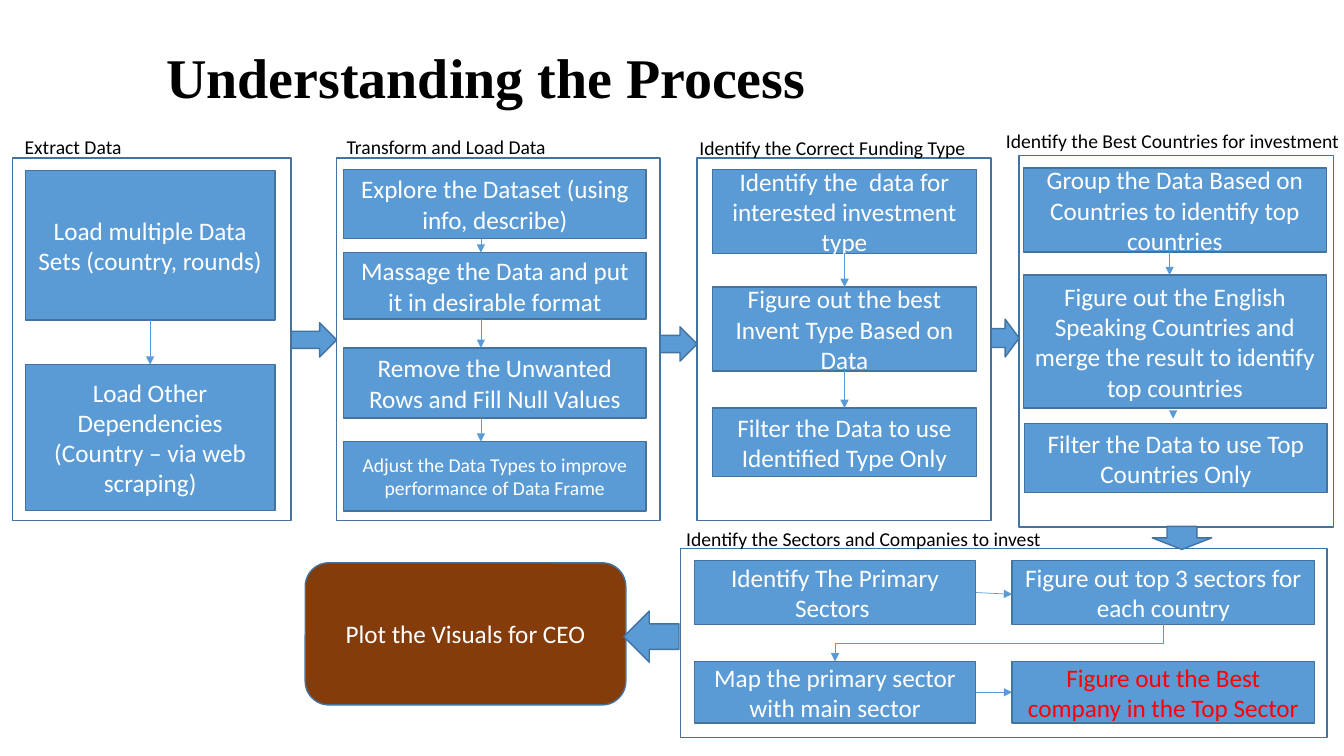
from dataclasses import dataclass
from itertools import pairwise

from lxml.etree import SubElement
from pptx import Presentation
from pptx.dml.color import RGBColor as RGB
from pptx.enum.shapes import MSO_CONNECTOR as CONN, MSO_SHAPE as SHAPE
from pptx.enum.text import MSO_ANCHOR as ANCHOR, MSO_AUTO_SIZE as AUTO, PP_ALIGN as ALIGN
from pptx.oxml.ns import qn
from pptx.util import Pt

TOP, LEFT, BOTTOM, RIGHT = range(4)


@dataclass(frozen=True)
class Theme:
    blue: str = "5B9BD5"
    edge: str = "43739E"
    brown: str = "843C0B"
    white: str = "FFFFFF"
    black: str = "000000"
    red: str = "FF0000"
    title_font: str = "Times New Roman"
    font: str = "Calibri"
    title: float = 40
    title_indent: float = 54
    body: float = 18
    small: float = 14


class ProcessSlide:
    def __init__(self, prs, theme):
        self.t = theme
        self.s = prs.slides.add_slide(prs.slide_layouts[5])

    def style(self, r, size, color, font=None, bold=False):
        r.font.name = font or self.t.font
        r.font.size = Pt(size)
        r.font.bold = bold
        r.font.color.rgb = RGB.from_string(color)

    def title(self, text, x, y, w, h):
        sp = self.s.shapes.title
        sp.left, sp.top, sp.width, sp.height = map(Pt, (x, y, w, h))
        tf = sp.text_frame
        tf.text = " "
        tf.vertical_anchor = ANCHOR.MIDDLE
        p = tf.paragraphs[0]
        p.alignment, p.line_spacing = ALIGN.LEFT, 0.9
        p.add_run().text = text
        for r, size in zip(p.runs, (self.t.title_indent, self.t.title)):
            self.style(r, size, self.t.black, self.t.title_font, True)

    def shape(self, kind, x, y, w, h, fill=None):
        sp = self.s.shapes.add_shape(kind, *map(Pt, (x, y, w, h)))
        sp.shadow.inherit = False
        if fill:
            sp.fill.solid()
            sp.fill.fore_color.rgb = RGB.from_string(fill)
        else:
            sp.fill.background()
        sp.line.color.rgb = RGB.from_string(self.t.edge)
        sp.line.width = Pt(1)
        return sp

    def box(self, text, x, y, w, h, size=None, color=None, fill=None, kind=SHAPE.RECTANGLE):
        sp = self.shape(kind, x, y, w, h, fill or self.t.blue)
        tf = sp.text_frame
        tf.text = text
        tf.word_wrap = True
        tf.vertical_anchor = ANCHOR.MIDDLE
        p = tf.paragraphs[0]
        p.alignment = ALIGN.CENTER
        self.style(p.runs[0], size or self.t.body, color or self.t.white)
        return sp

    def frame(self, x, y, w, h):
        return self.shape(SHAPE.RECTANGLE, x, y, w, h)

    def block_arrow(self, kind, x, y, w, h, rotation=0):
        self.shape(kind, x, y, w, h, self.t.blue).rotation = rotation

    def label(self, text, x, y, w, h=24.5):
        tf = self.s.shapes.add_textbox(*map(Pt, (x, y, w, h))).text_frame
        tf.text = text
        tf.word_wrap = False
        tf.auto_size = AUTO.SHAPE_TO_FIT_TEXT
        self.style(tf.paragraphs[0].runs[0], self.t.small, self.t.black)

    def arrow(self, x1=0, y1=0, x2=0, y2=0, begin=None, end=None, kind=CONN.STRAIGHT):
        """Arrow between points; begin and end are optional (shape, side) joins."""
        c = self.s.shapes.add_connector(kind, *map(Pt, (x1, y1, x2, y2)))
        if begin:
            c.begin_connect(*begin)
        if end:
            c.end_connect(*end)
        c.line.color.rgb = RGB.from_string(self.t.blue)
        c.line.width = Pt(0.5)
        SubElement(c.line._get_or_add_ln(), qn("a:tailEnd"), type="triangle")
        SubElement(c._element.spPr, qn("a:effectLst"))
        return c

    def elbow_down(self, begin, end):
        """Elbow that leaves downwards and turns left: a quarter-turned connector."""
        c = self.arrow(begin=begin, end=end, kind=CONN.ELBOW)
        dx, dy = c.begin_x - c.end_x, c.end_y - c.begin_y
        mid_x, mid_y = (c.begin_x + c.end_x) // 2, (c.begin_y + c.end_y) // 2
        xfrm = c._element.spPr.find(qn("a:xfrm"))
        for name in ("flipH", "flipV"):
            xfrm.attrib.pop(name, None)
        xfrm.set("rot", "5400000")
        c.left, c.top, c.width, c.height = mid_x - dy // 2, mid_y - dx // 2, dy, dx

    def column(self, x, w, steps):
        """Stacked boxes; each step is (text, top, height[, type size])."""
        return [self.box(text, x, y, w, h, *size) for text, y, h, *size in steps]

    def join_down(self, boxes, x=None):
        """Arrows down a column, joined at the middles unless x is given."""
        for a, b in pairwise(boxes):
            if x is None:
                self.arrow(begin=(a, BOTTOM), end=(b, TOP))
            else:
                self.arrow(x, (a.top + a.height).pt if hasattr(a.top + a.height, "pt")
                           else (a.top + a.height) / Pt(1), x, b.top.pt)


def main():
    prs = Presentation()
    prs.slide_width, prs.slide_height = Pt(960), Pt(540)
    t = Theme()
    s = ProcessSlide(prs, t)
    s.title("Understanding the Process", 98, 19, 734, 67.5)

    # Extract
    extract = s.column(18, 178.5, [
        ("Load multiple Data Sets (country, rounds)", 122, 106.5),
        ("Load Other Dependencies (Country – via web scraping)", 260.5, 104)])
    s.frame(9, 113, 199, 259)
    s.join_down(extract)

    # Transform and load
    transform = s.column(245.5, 216, [
        ("Explore the Dataset (using info, describe)", 121, 49.5),
        ("Massage the Data and put it in desirable format", 180.5, 47.5),
        ("Remove the Unwanted Rows and Fill Null Values", 248.5, 50),
        ("Adjust the Data Types to improve performance of Data Frame", 315.5, 49.5, t.small)])
    s.frame(240.5, 113, 231, 259)
    s.join_down(transform, 343.5)

    # Funding type
    funding = s.column(509, 188.5, [
        ("Identify the  data for interested investment type", 121, 60),
        ("Figure out the best Invent Type Based on Data", 205, 60),
        ("Filter the Data to use Identified Type Only", 291.5, 49)])
    s.frame(498, 113, 210, 259)
    s.join_down(funding)

    # Countries
    countries = s.column(731, 216.5, [
        ("Group the Data Based on Countries to identify top countries", 120, 60),
        ("Figure out the English Speaking Countries and merge the result to identify "
         "top countries", 196.5, 95)])
    s.box("Filter the Data to use Top Countries Only", 732, 302.5, 216, 49.5)
    s.frame(728, 111, 224.5, 265.5)
    s.join_down(countries, 835.5)
    s.arrow(838, 294.5, 838, 299)

    # Sectors and companies
    primary = s.box("Identify The Primary Sectors ", 496, 400.5, 201, 45.5)
    mapped = s.box("Map the primary sector with main sector", 496, 472.5, 201, 44)
    top3 = s.box("Figure out top 3 sectors for each country", 723, 400.5, 216, 45.5)
    best = s.box("Figure out the Best company in the Top Sector", 723, 472.5, 216, 44,
                 color=t.red)
    s.frame(486, 392, 462, 135)
    s.arrow(x2=723, y2=424.5, begin=(primary, RIGHT))
    s.elbow_down((top3, BOTTOM), (mapped, TOP))
    s.arrow(begin=(mapped, RIGHT), end=(best, LEFT))

    # Final step
    s.box("Plot the Visuals for CEO", 218, 402, 229, 101.5, fill=t.brown,
          kind=SHAPE.ROUNDED_RECTANGLE)

    # Block arrows between stages
    s.block_arrow(SHAPE.RIGHT_ARROW, 208, 230.5, 32.5, 24.5)
    s.block_arrow(SHAPE.RIGHT_ARROW, 471.5, 233.5, 26.5, 24.5)
    s.block_arrow(SHAPE.RIGHT_ARROW, 708, 228, 20, 27)
    s.block_arrow(SHAPE.DOWN_ARROW, 823, 376, 42.5, 16.5)
    s.block_arrow(SHAPE.RIGHT_ARROW, 445.5, 436.5, 39.5, 36.5, rotation=180)

    # Stage labels
    s.label("Extract Data", 10.5, 93, 85)
    s.label("Transform and Load Data", 240.5, 93, 158.5)
    s.label("Identify the Correct Funding Type", 492.5, 93.5, 206.5)
    s.label("Identify the Best Countries for investment", 711.5, 88.5, 255)
    s.label("Identify the Sectors and Companies to invest", 483, 372.5, 270.5)

    prs.save("out.pptx")


if __name__ == "__main__":
    main()
